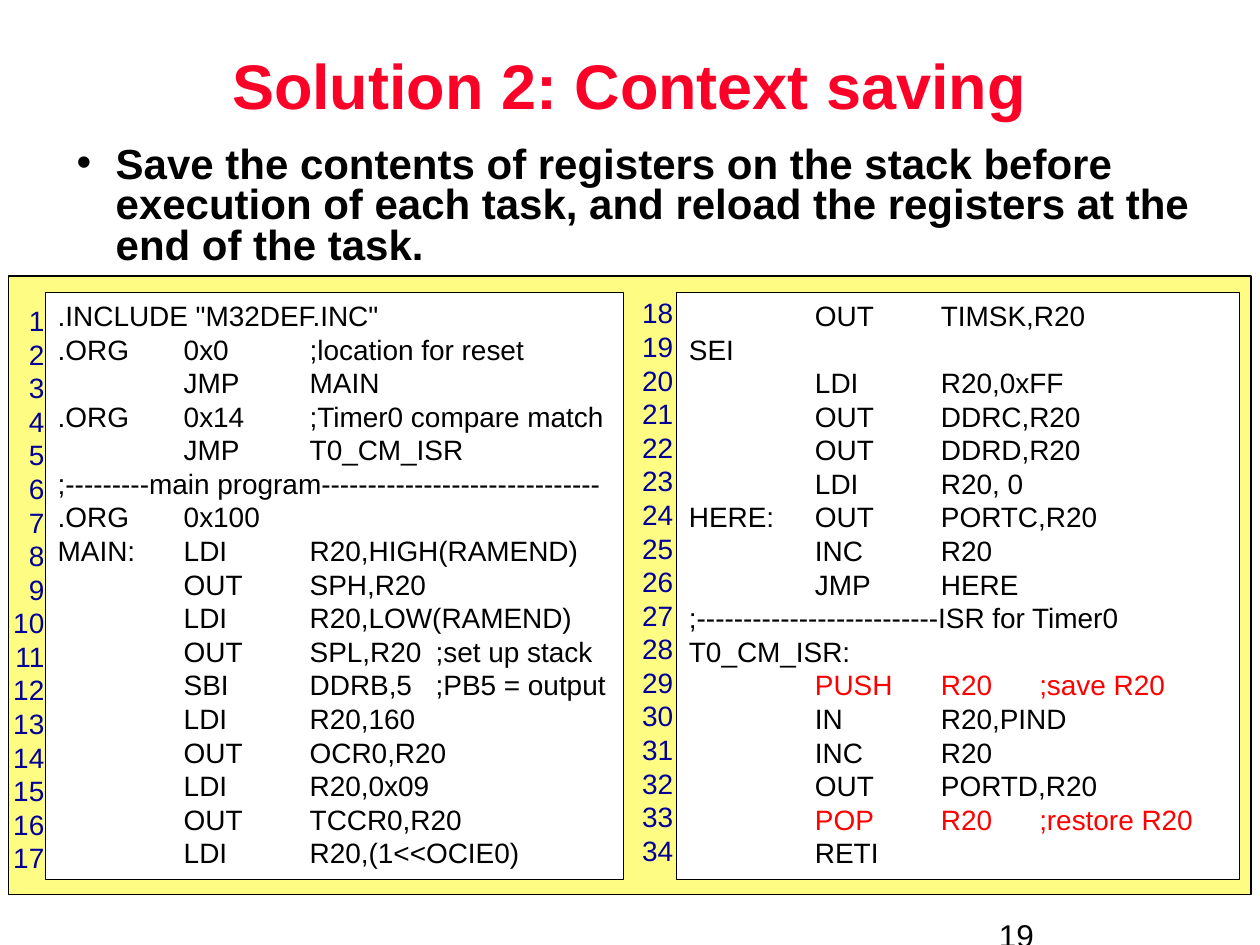
from lxml.etree import SubElement
from pptx import Presentation
from pptx.dml.color import RGBColor
from pptx.enum.shapes import MSO_SHAPE as Shape
from pptx.enum.text import MSO_ANCHOR as Anchor, PP_ALIGN as Align
from pptx.oxml.ns import qn
from pptx.util import Inches, Pt

COLORS = {
    "title": "FC0128", "text": "000000", "panel": "FFFC84", "code_box": "FFFFFF",
    "line_number": "000099", "highlight": "FF0000",
}
LEFT_CODE = """.INCLUDE "M32DEF.INC"
.ORG\t0x0\t;location for reset
\tJMP\tMAIN
.ORG\t0x14\t;Timer0 compare match
\tJMP\tT0_CM_ISR
;---------main program------------------------------
.ORG\t0x100
MAIN:\tLDI\tR20,HIGH(RAMEND)
\tOUT\tSPH,R20
\tLDI\tR20,LOW(RAMEND)
\tOUT\tSPL,R20\t;set up stack
\tSBI\tDDRB,5\t;PB5 = output
\tLDI\tR20,160
\tOUT\tOCR0,R20
\tLDI\tR20,0x09
\tOUT\tTCCR0,R20
\tLDI\tR20,(1<<OCIE0)"""
RIGHT_CODE = """\tOUT\tTIMSK,R20
SEI
\tLDI\tR20,0xFF
\tOUT\tDDRC,R20
\tOUT\tDDRD,R20
\tLDI\tR20, 0
HERE:\tOUT\tPORTC,R20
\tINC\tR20
\tJMP\tHERE
;--------------------------ISR for Timer0
T0_CM_ISR:
\tPUSH\tR20\t;save R20
\tIN\tR20,PIND
\tINC\tR20
\tOUT\tPORTD,R20
\tPOP\tR20\t;restore R20
\tRETI"""


def rgb(name):
    return RGBColor.from_string(COLORS[name])


def add_bullet(para, indent):
    props = para._p.get_or_add_pPr()
    props.set("marL", str(Inches(indent)))
    props.set("indent", str(-Inches(indent)))
    SubElement(props, qn("a:buFont")).set("typeface", "Arial")
    SubElement(props, qn("a:buChar")).set("char", "•")


def add_tabs(para, stops):
    tab_list = SubElement(para._p.get_or_add_pPr(), qn("a:tabLst"))
    for stop in stops:
        tab = SubElement(tab_list, qn("a:tab"))
        tab.set("pos", str(Inches(stop)))
        tab.set("algn", "l")


def write_text(frame, text, size=16, color="text", bold=False, align=Align.LEFT,
               anchor=Anchor.TOP, spacing=None, bullet_indent=None, tabs=(), highlights=()):
    frame.word_wrap = True
    frame.vertical_anchor = anchor
    for index, line in enumerate(text.split("\n")):
        para = frame.add_paragraph() if index else frame.paragraphs[0]
        para.alignment = align
        if spacing:
            para.line_spacing = spacing
        if bullet_indent:
            add_bullet(para, bullet_indent)
        if tabs:
            add_tabs(para, tabs)
        span = para.add_run()
        span.text = line
        span.font.name = "Arial"
        span.font.size = Pt(size)
        span.font.bold = bold
        marked = any(word in line for word in highlights)
        span.font.color.rgb = rgb("highlight" if marked else color)


def add_text(page, text, left, top, width, height, **style):
    box = page.shapes.add_textbox(Inches(left), Inches(top), Inches(width), Inches(height))
    write_text(box.text_frame, text, **style)


def add_panel(page, fill, left, top, width, height):
    panel = page.shapes.add_shape(
        Shape.RECTANGLE, Inches(left), Inches(top), Inches(width), Inches(height))
    panel.shadow.inherit = False
    panel.fill.solid()
    panel.fill.fore_color.rgb = rgb(fill)
    panel.line.color.rgb = rgb("text")
    panel.line.width = Pt(0.75)
    return panel


def add_code(page, code, left, width, tabs, highlights=()):
    panel = add_panel(page, "code_box", left, 2.32, width, 4.66)
    write_text(panel.text_frame, code, tabs=tabs, highlights=highlights)


def add_line_numbers(page, first, left, top):
    numbers = "\n".join(str(number) for number in range(first, first + 17))
    add_text(page, numbers, left, top, 0.54, 4.65, color="line_number", align=Align.RIGHT)


def main():
    deck = Presentation()
    deck.slide_width, deck.slide_height = Inches(10), Inches(7.5)
    page = deck.slides.add_slide(deck.slide_layouts[6])
    add_text(page, "19", 7.83, 7.22, 2.13, 0.28, size=18)
    add_panel(page, "panel", 0.07, 2.19, 9.86, 4.91)
    add_text(page, "Solution 2: Context saving", 1.08, 0.08, 7.83, 1.25, size=36,
             color="title", bold=True, align=Align.CENTER, anchor=Anchor.MIDDLE, spacing=0.9)
    add_text(page, "Save the contents of registers on the stack before execution of each "
             "task, and reload the registers at the end of the task.",
             0.51, 1.12, 9.09, 1.16, size=24, bold=True, spacing=0.8, bullet_indent=0.31)
    add_code(page, LEFT_CODE, 0.36, 4.59, tabs=(1, 2, 3))
    add_code(page, RIGHT_CODE, 5.37, 4.47, tabs=(1, 2, 2.78), highlights=("PUSH", "POP"))
    add_line_numbers(page, 1, -0.09, 2.36)
    add_line_numbers(page, 18, 4.9, 2.3)
    deck.save("out.pptx")


if __name__ == "__main__":
    main()
